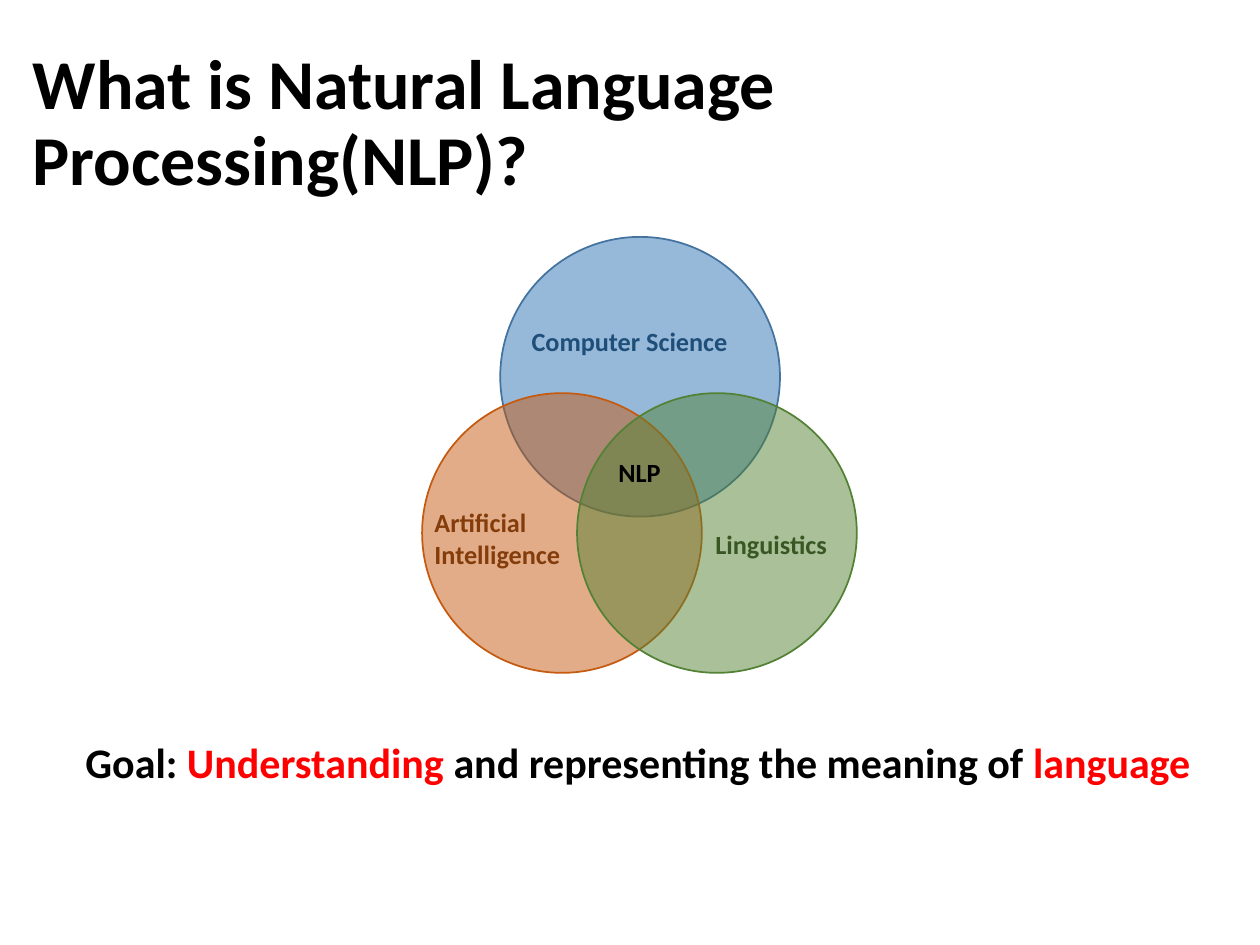
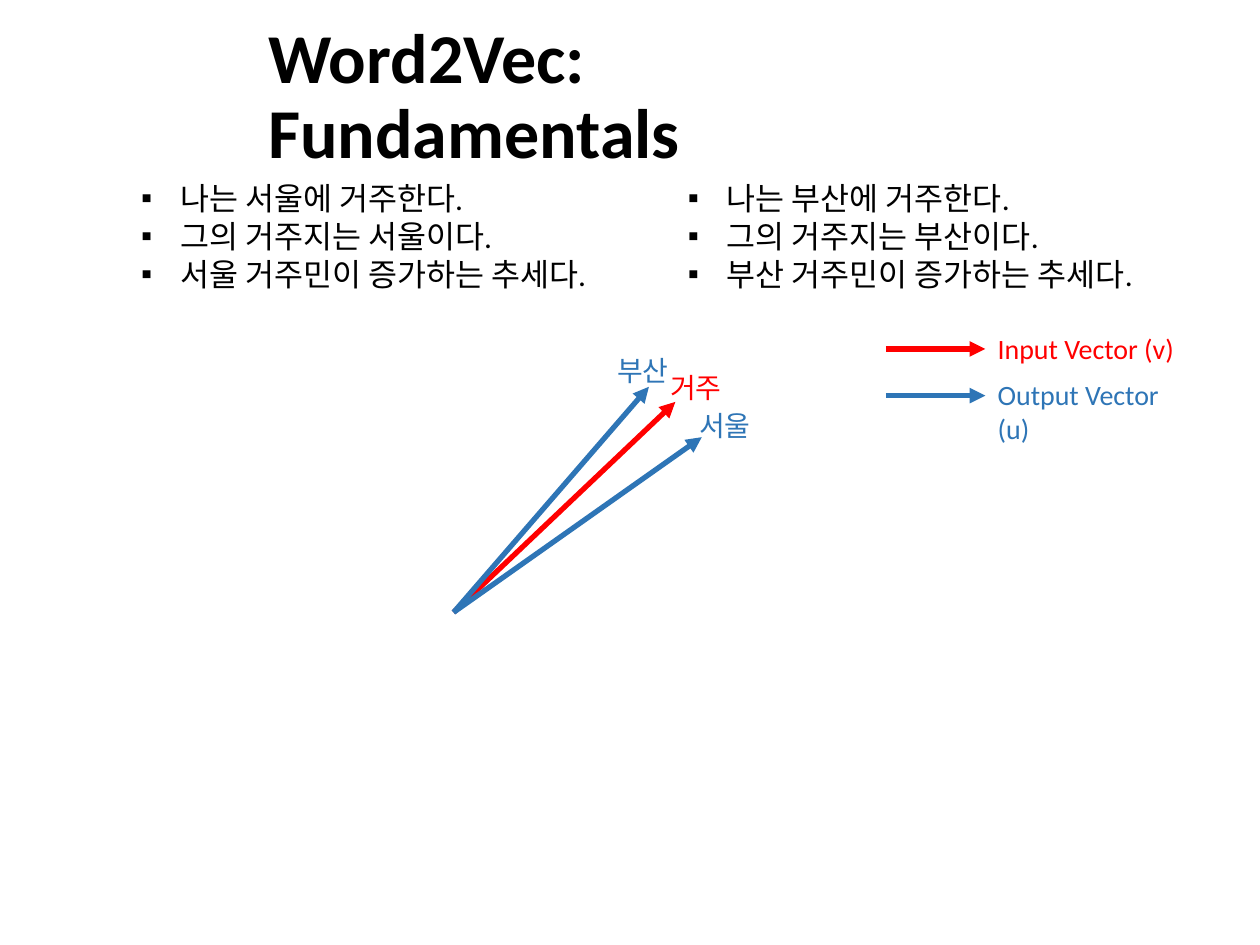
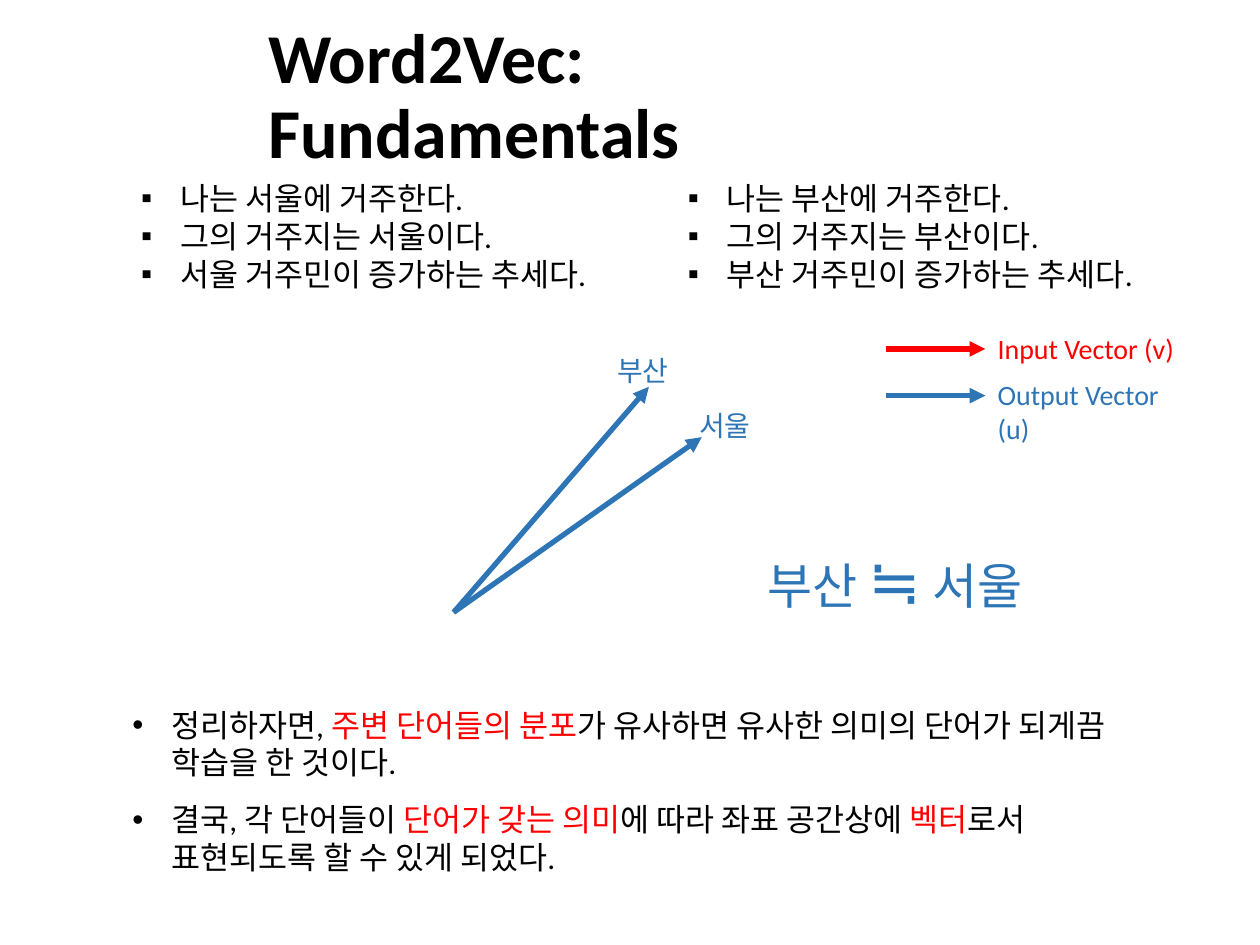
from lxml import etree
from pptx import Presentation
from pptx.dml.color import RGBColor
from pptx.enum.shapes import MSO_CONNECTOR, MSO_SHAPE
from pptx.enum.text import MSO_ANCHOR, MSO_AUTO_SIZE, PP_ALIGN
from pptx.oxml.ns import qn
from pptx.util import Inches, Pt

STRAIGHT = MSO_CONNECTOR.STRAIGHT
OVAL = MSO_SHAPE.OVAL
TOP, MIDDLE = MSO_ANCHOR.TOP, MSO_ANCHOR.MIDDLE
LEFT = PP_ALIGN.LEFT
NO_FIT = MSO_AUTO_SIZE.NONE

FONT = "Calibri"
COLORS = {
    "text": "000000", "accent": "FF0000", "blue": "2E75B6",
    "blue_edge": "43739E", "blue_dark": "1F4E79",
    "orange": "C55A11", "orange_dark": "843C0B",
    "green": "548235", "green_dark": "385723",
}

prs = Presentation()
prs.slide_width, prs.slide_height = Inches(10), Inches(7.5)
CELL = prs.slide_width // 100  # the slide is a grid of 100 columns by 75 rows
HANGING = round(3.1 * CELL)
TITLE_ONLY, TWO_CONTENT, COMPARISON = (prs.slide_layouts[i] for i in (5, 3, 4))


def cells(*counts):
    return [round(count * CELL) for count in counts]


def write(box, paragraphs, size, bold=False, bullet=None, gap=0, place=None):
    """Fill a box with paragraphs, each a list of (text, colour name) runs."""
    if place:
        box.left, box.top, box.width, box.height = cells(*place)
    frame = box.text_frame
    frame.word_wrap, frame.auto_size = True, NO_FIT
    frame.vertical_anchor = TOP
    for number, runs in enumerate(paragraphs):
        paragraph = frame.add_paragraph() if number else frame.paragraphs[0]
        paragraph.alignment, paragraph.line_spacing = LEFT, 1.0
        paragraph.space_before, paragraph.space_after = Pt(0), Pt(gap)
        for text, color in runs:
            run = paragraph.add_run()
            run.text = text
            run.font.name, run.font.size, run.font.bold = FONT, Pt(size), bold
            run.font.color.rgb = RGBColor.from_string(COLORS[color])
        if bullet:
            properties = paragraph._p.get_or_add_pPr()
            properties.set("marL", str(HANGING))
            properties.set("indent", str(-HANGING))
            etree.SubElement(properties, qn("a:buChar"), char=bullet)


# Slides and their titles
slides = []
for layout, heading, place in (
    (TITLE_ONLY, "What is Natural Language Processing(NLP)?", (1.9, 4.2, 98.1, 11.4)),
    (TWO_CONTENT, "Word2Vec: Fundamentals", (20.6, 3, 58.7, 9.6)),
    (COMPARISON, "Word2Vec: Fundamentals", (20.6, 3, 58.7, 9.6)),
):
    slide = prs.slides.add_slide(layout)
    title = slide.shapes.title
    write(title, [[(heading, "text")]], 40, bold=True, place=place)
    frame = title.text_frame
    frame.vertical_anchor = MIDDLE
    frame.margin_left, frame.margin_right, frame.margin_top, frame.margin_bottom = cells(0.7, 0.7, 0.4, 0.4)
    frame.paragraphs[0].line_spacing = 0.9
    slides.append(slide)
intro, vectors, conclusion = slides

# Three overlapping fields
DIAMETER = 22.2
for left, top, color, edge in (
    (39.7, 18.8, "blue", "blue_edge"),
    (33.5, 31.2, "orange", "orange"),
    (45.8, 31.2, "green", "green"),
):
    field = intro.shapes.add_shape(OVAL, *cells(left, top, DIAMETER, DIAMETER))
    field.shadow.inherit = False
    field.fill.solid()
    field.fill.fore_color.rgb = RGBColor.from_string(COLORS[color])
    fill_color = field._element.spPr.find(qn("a:solidFill")).find(qn("a:srgbClr"))
    etree.SubElement(fill_color, qn("a:alpha"), val="50000")
    field.line.color.rgb = RGBColor.from_string(COLORS[edge])
    field.line.width = Pt(1)

# Names of the fields
for place, lines, color in (
    ((41.2, 25.3, 20.2, 3.5), ["Computer Science"], "blue_dark"),
    ((33.5, 39.7, 13, 8.6), ["Artificial", "Intelligence"], "orange_dark"),
    ((55.8, 41.4, 12.6, 3.5), ["Linguistics"], "green_dark"),
    ((48.1, 35.7, 6.4, 3.5), ["NLP"], "text"),
):
    field_name = intro.shapes.add_textbox(*cells(*place))
    write(field_name, [[(line, color)] for line in lines], 15, bold=True)

# Goal
goal = intro.shapes.add_textbox(*cells(5.8, 58, 93.5, 5))
write(goal, [[("Goal: ", "text"), ("Understanding", "accent"),
              (" and representing the meaning of ", "text"), ("language", "accent")]],
      24, bold=True)

# Vectors and legend: start, end, label place, label, colour
ORIGIN = (36, 48.6)
input_vector = (ORIGIN, (53.6, 31.9), (52.2, 28.9, 7, 3.7), "거주", "accent")
shared_arrows = [
    (ORIGIN, (55.7, 34.7), (54.5, 31.9, 7, 3.7), "서울", "blue"),
    (ORIGIN, (51.5, 30.7), (48, 27.6, 7, 3.7), "부산", "blue"),
    ((70.3, 27.7), (78.2, 27.7), (78.2, 25.8, 17.7, 3.7), "Input Vector (v)", "accent"),
    ((70.3, 31.4), (78.2, 31.4), (78.2, 29.5, 17.7, 3.7), "Output Vector (u)", "blue"),
]
sentences = ["나는 {}에 거주한다.", "그의 거주지는 {}이다.", "{} 거주민이 증가하는 추세다."]

for slide, arrows in ((vectors, [input_vector] + shared_arrows), (conclusion, shared_arrows)):
    # Example sentences for the two cities
    for column, city in enumerate(("서울", "부산")):
        write(slide.placeholders[column + 1],
              [[(sentence.format(city), "text")] for sentence in sentences],
              18, bullet="▪", place=(10.2 + 43.4 * column, 13.7, 41.3, 10.1))
    # Arrows with their labels
    for start, end, place, word, color in arrows:
        arrow = slide.shapes.add_connector(STRAIGHT, *cells(*start, *end))
        arrow.line.color.rgb = RGBColor.from_string(COLORS[color])
        arrow.line.width = Pt(3)
        etree.SubElement(arrow.line._get_or_add_ln(), qn("a:tailEnd"), type="triangle")
        etree.SubElement(arrow._element.spPr, qn("a:effectLst"))
        write(slide.shapes.add_textbox(*cells(*place)), [[(word, color)]], 16)

# Similarity of the two cities
similarity = conclusion.shapes.add_textbox(*cells(59.9, 42.5, 23.9, 7.1))
write(similarity, [[("부산 ", "blue"), ("≒", "blue"), (" 서울", "blue")]], 28)
similarity.text_frame.word_wrap = False
similarity.text_frame.paragraphs[0].runs[1].font.size = Pt(36)

# Summary
write(conclusion.placeholders[3], [
    [("정리하자면, ", "text"), ("주변 단어들의 분포", "accent"),
     ("가 유사하면 유사한 의미의 단어가 되게끔 학습을 한 것이다.", "text")],
    [("결국, 각 단어들이 ", "text"), ("단어가 갖는 의미", "accent"),
     ("에 따라 좌표 공간상에 ", "text"), ("벡터", "accent"),
     ("로서 표현되도록 할 수 있게 되었다.", "text")],
], 18, bullet="•", gap=11, place=(9.5, 55.5, 84, 14.8))
unused = conclusion.placeholders[4]._element
unused.getparent().remove(unused)

prs.save("out.pptx")
